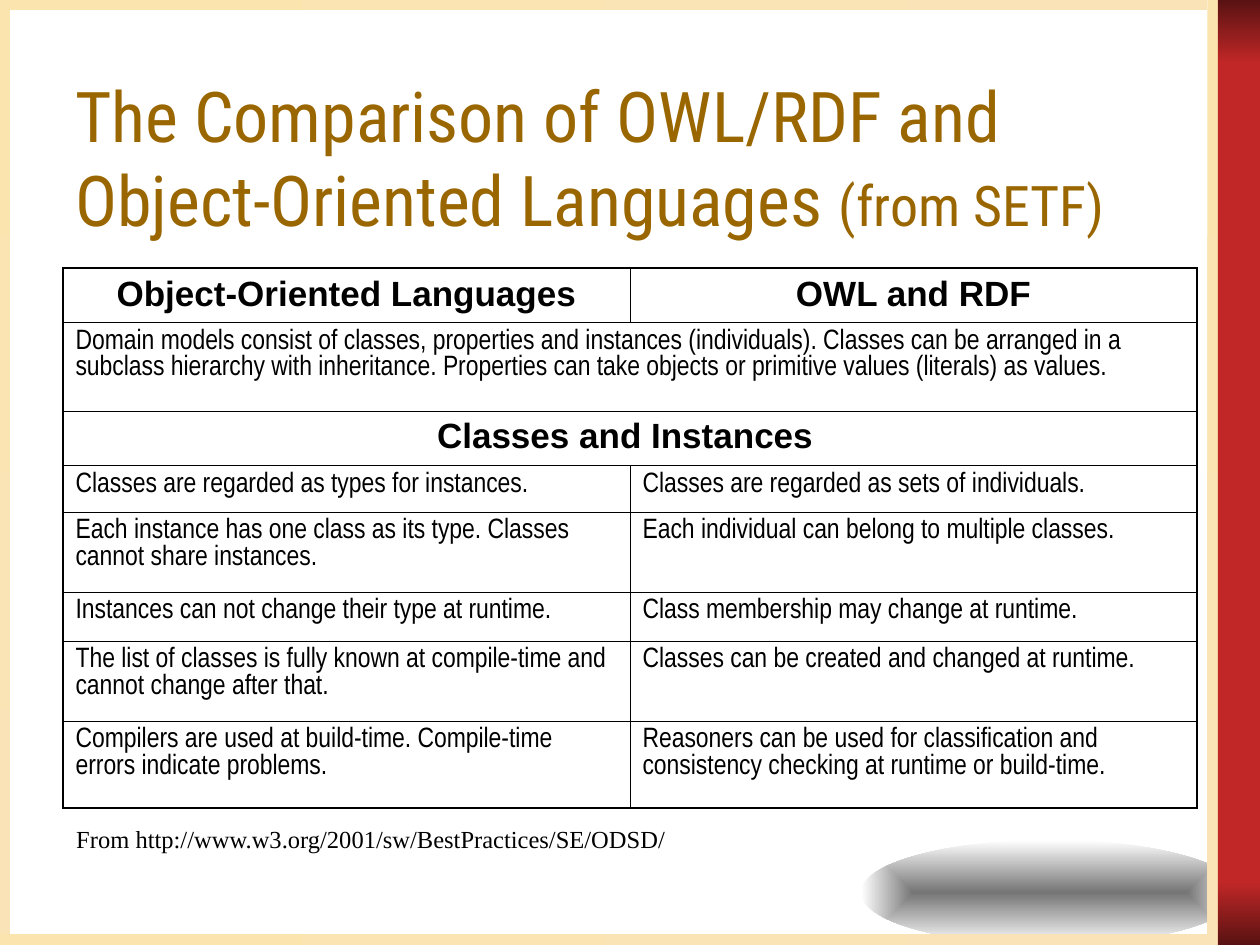
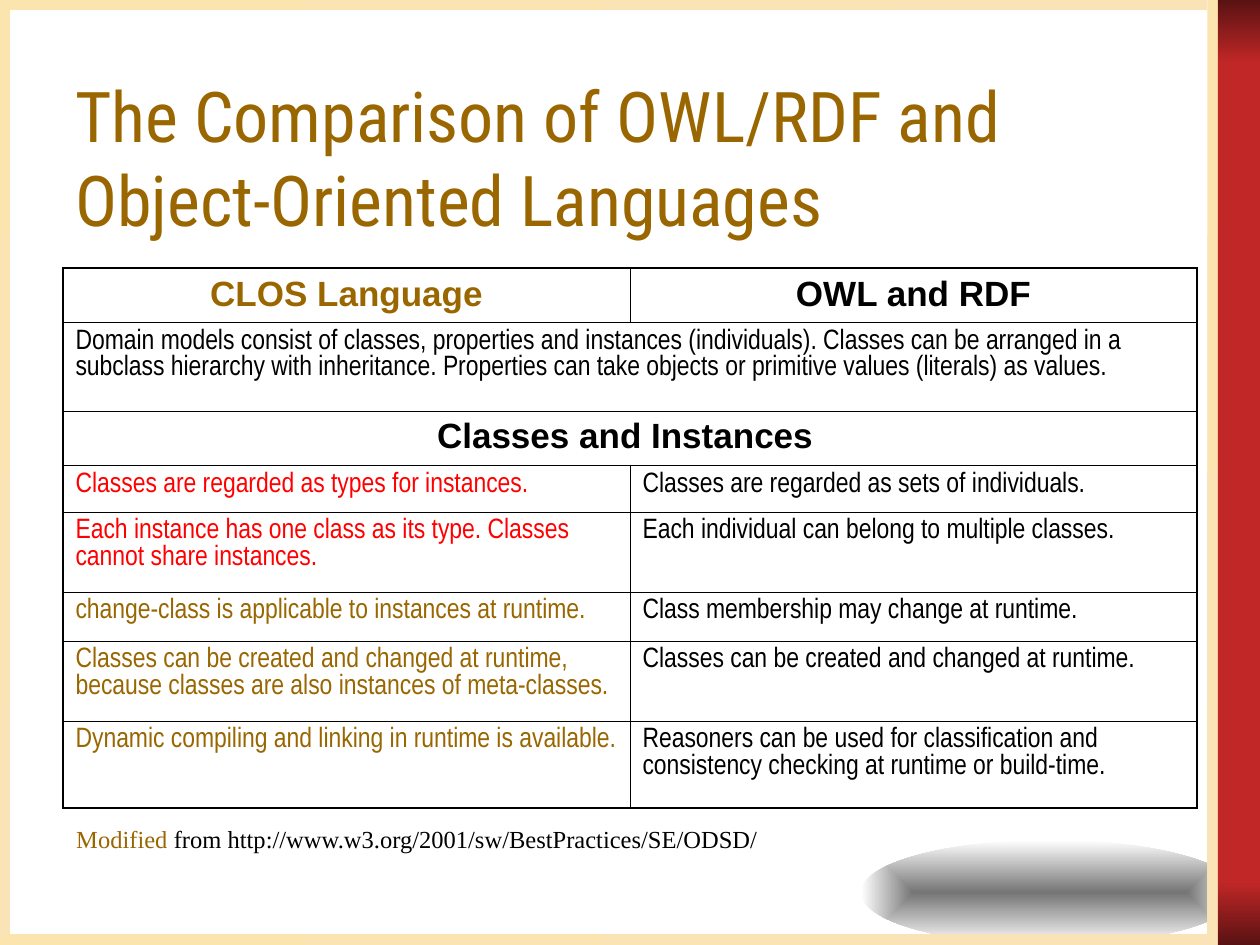
from lxml.etree import SubElement
from pptx import Presentation
from pptx.dml.color import RGBColor
from pptx.enum.shapes import MSO_SHAPE as Preset
from pptx.enum.text import MSO_ANCHOR as Anchor, MSO_AUTO_SIZE as AutoSize, PP_ALIGN as Align
from pptx.oxml.ns import qn
from pptx.util import Pt

BLACK = RGBColor(0x00, 0x00, 0x00)
WHITE = RGBColor(0xFF, 0xFF, 0xFF)
GOLD = RGBColor(0x99, 0x66, 0x00)
BRIGHT_RED = RGBColor(0xFF, 0x00, 0x00)
BAND_RED = RGBColor(0xC1, 0x27, 0x27)
DARK_RED = RGBColor(0x59, 0x12, 0x12)
CREAM = RGBColor(0xFB, 0xE4, 0xAE)
PALE_CREAM = RGBColor(0xFA, 0xE3, 0xB7)
GREY = RGBColor(0x75, 0x75, 0x75)

PAGE_WIDTH, PAGE_HEIGHT = 720, 540
FRAME = 6
BAND_LEFT, BAND_WIDTH, BAND_SHADE = 696, 24, 36
FRAME_RIGHT = BAND_LEFT - FRAME
DOWN, LEFTWARD = 270, 180

TITLE_FONT, HEAD_FONT = "Roboto Condensed", "Arial"
BODY_FONT, SOURCE_FONT = "Arial Narrow", "Times New Roman"
TITLE = "The Comparison of OWL/RDF and Object-Oriented Languages"
SOURCE = "http://www.w3.org/2001/sw/BestPractices/SE/ODSD/"

COLUMN_WIDTH = 324
ROW_HEIGHTS = [31, 50.4, 31.2, 26.6, 45.7, 28.1, 45.7, 49.7]
OUTER_LINE, INNER_LINE = 1.08, 0.45

SHARED_MODEL = (
    "Domain models consist of classes, properties and instances (individuals). "
    "Classes can be arranged in a subclass hierarchy with inheritance. "
    "Properties can take objects or primitive values (literals) as values."
)
SECTION = "Classes and Instances "
OWL_HEAD = "OWL and RDF"
OWL_FACTS = [
    "Classes are regarded as sets of individuals.",
    "Each individual can belong to multiple classes.",
    "Class membership may change at runtime.",
    "Classes can be created and changed at runtime.",
    "Reasoners can be used for classification and consistency checking at runtime or build-time.",
]
TYPES_FACT = "Classes are regarded as types for instances."
ONE_CLASS_FACT = "Each instance has one class as its type. Classes cannot share instances."
OBJECT_FACTS = [
    (TYPES_FACT, BLACK),
    (ONE_CLASS_FACT, BLACK),
    ("Instances can not change their type at runtime.", BLACK),
    ("The list of classes is fully known at compile-time and cannot change after that.", BLACK),
    ("Compilers are used at build-time. Compile-time errors indicate problems.", BLACK),
]
CLOS_FACTS = [
    (TYPES_FACT, BRIGHT_RED),
    (ONE_CLASS_FACT, BRIGHT_RED),
    ("change-class is applicable to instances at runtime.", GOLD),
    ("Classes can be created and changed at runtime, "
     "because classes are also instances of meta-classes.", GOLD),
    ("Dynamic compiling and linking in runtime is available.", GOLD),
]


def add_span(para, text, font, size, color, bold=False):
    """Append one formatted run to a paragraph."""
    span = para.add_run()
    span.text = text
    span.font.name = font
    span.font.size = Pt(size)
    span.font.bold = bold
    span.font.color.rgb = color


def add_text(page, left, top, width, height, spans, wrap=True):
    """Add a text box holding one paragraph of (text, font, size, colour) spans."""
    box = page.shapes.add_textbox(Pt(left), Pt(top), Pt(width), Pt(height))
    box.text_frame.word_wrap = wrap
    for span in spans:
        add_span(box.text_frame.paragraphs[0], *span)
    return box


def add_plain_shape(page, preset, left, top, width, height):
    """Add a shape without outline or shadow."""
    shape = page.shapes.add_shape(preset, Pt(left), Pt(top), Pt(width), Pt(height))
    shape.shadow.inherit = False
    shape.line.fill.background()
    return shape


def set_gradient(shape, start, end, angle=DOWN):
    """Fill a shape with a two-colour linear gradient."""
    shape.fill.gradient()
    shape.fill.gradient_angle = angle
    for stop, color, position in zip(shape.fill.gradient_stops, (start, end), (0, 1)):
        stop.color.rgb = color
        stop.position = position


def add_glow(page):
    """Add the grey ellipse that shades outwards to white."""
    glow = add_plain_shape(page, Preset.OVAL, 492, 480, 216, 60)
    set_gradient(glow, GREY, WHITE)
    gradient = glow.element.spPr.find(qn("a:gradFill"))
    gradient.remove(gradient.find(qn("a:lin")))
    route = SubElement(gradient, qn("a:path"), {"path": "rect"})
    SubElement(route, qn("a:fillToRect"), dict.fromkeys("ltrb", "50000"))


def add_frame(page):
    """Add the cream frame and the red band on the right."""
    add_glow(page)
    for left in (FRAME_RIGHT, 0):
        edge = add_plain_shape(page, Preset.RECTANGLE, left, 0, FRAME, PAGE_HEIGHT)
        set_gradient(edge, CREAM, PALE_CREAM)
    for top in (0, PAGE_HEIGHT - FRAME):
        edge = add_plain_shape(page, Preset.RECTANGLE, 0, top, FRAME_RIGHT, FRAME)
        set_gradient(edge, PALE_CREAM, CREAM, LEFTWARD)
    band = add_plain_shape(page, Preset.RECTANGLE, BAND_LEFT, 0, BAND_WIDTH, PAGE_HEIGHT)
    band.fill.solid()
    band.fill.fore_color.rgb = BAND_RED
    shades = [(0, DARK_RED, BAND_RED), (PAGE_HEIGHT - BAND_SHADE, BAND_RED, DARK_RED)]
    for top, start, end in shades:
        shade = add_plain_shape(page, Preset.RECTANGLE, BAND_LEFT, top, BAND_WIDTH, BAND_SHADE)
        set_gradient(shade, start, end)


def set_borders(cell, row, column):
    """Draw thick lines on the table's rim and thin lines inside it."""
    on_rim = {
        "a:lnL": column == 0,
        "a:lnR": column == 1 or cell.is_merge_origin,
        "a:lnT": row == 0,
        "a:lnB": row == len(ROW_HEIGHTS) - 1,
    }
    if cell.is_spanned:
        del on_rim["a:lnL"]
    properties = cell._tc.get_or_add_tcPr()
    for tag, rim in on_rim.items():
        width = Pt(OUTER_LINE if rim else INNER_LINE)
        line = SubElement(properties, qn(tag), {"w": str(width)})
        fill = SubElement(line, qn("a:solidFill"))
        SubElement(fill, qn("a:srgbClr"), {"val": str(BLACK)})


def fill_cell(cell, text, color, heading):
    """Write a cell as a centred heading or as condensed body text."""
    para = cell.text_frame.paragraphs[0]
    if heading:
        para.alignment = Align.CENTER
        add_span(para, text, HEAD_FONT, 20, color, True)
    else:
        add_span(para, text, BODY_FONT, 16, color)


def add_comparison(page, head, facts):
    """Add the table that sets a language against OWL and RDF."""
    rows = [[head, (OWL_HEAD, BLACK)], [(SHARED_MODEL, BLACK)], [(SECTION, BLACK)]]
    rows += [[fact, (owl, BLACK)] for fact, owl in zip(facts, OWL_FACTS)]
    table = page.shapes.add_table(
        len(rows), 2, Pt(36), Pt(153.2), Pt(2 * COLUMN_WIDTH), Pt(sum(ROW_HEIGHTS))
    ).table
    table.first_row = table.horz_banding = False
    for column in table.columns:
        column.width = Pt(COLUMN_WIDTH)
    for row, entries in enumerate(rows):
        table.rows[row].height = Pt(ROW_HEIGHTS[row])
        if len(entries) == 1:
            table.cell(row, 0).merge(table.cell(row, 1))
        for column, (text, color) in enumerate(entries):
            fill_cell(table.cell(row, column), text, color, row in (0, 2))
        for column in range(2):
            cell = table.cell(row, column)
            set_borders(cell, row, column)
            cell.fill.background()


def add_page(deck, title_spans, head, facts, source_width, source_spans):
    """Add one comparison slide."""
    page = deck.slides.add_slide(deck.slide_layouts[6])
    add_frame(page)
    spans = [(text, TITLE_FONT, size, GOLD) for text, size in title_spans]
    title = add_text(page, 36, 43.2, 648, 92.2, spans)
    title.text_frame.vertical_anchor = Anchor.MIDDLE
    add_comparison(page, head, facts)
    spans = [(text, SOURCE_FONT, 14, color) for text, color in source_spans]
    source = add_text(page, 36.5, 467.3, source_width, 24.5, spans, wrap=False)
    source.text_frame.auto_size = AutoSize.SHAPE_TO_FIT_TEXT


def main():
    """Build and save the deck."""
    deck = Presentation()
    deck.slide_width, deck.slide_height = Pt(PAGE_WIDTH), Pt(PAGE_HEIGHT)
    add_page(deck, [(TITLE + " ", 40), ("(from SETF)", 32)],
             ("Object-Oriented Languages", BLACK), OBJECT_FACTS,
             354, [("From " + SOURCE, BLACK)])
    add_page(deck, [(TITLE, 40)], ("CLOS Language", GOLD), CLOS_FACTS,
             407, [("Modified ", GOLD), ("from " + SOURCE, BLACK)])
    deck.save("out.pptx")


if __name__ == "__main__":
    main()
